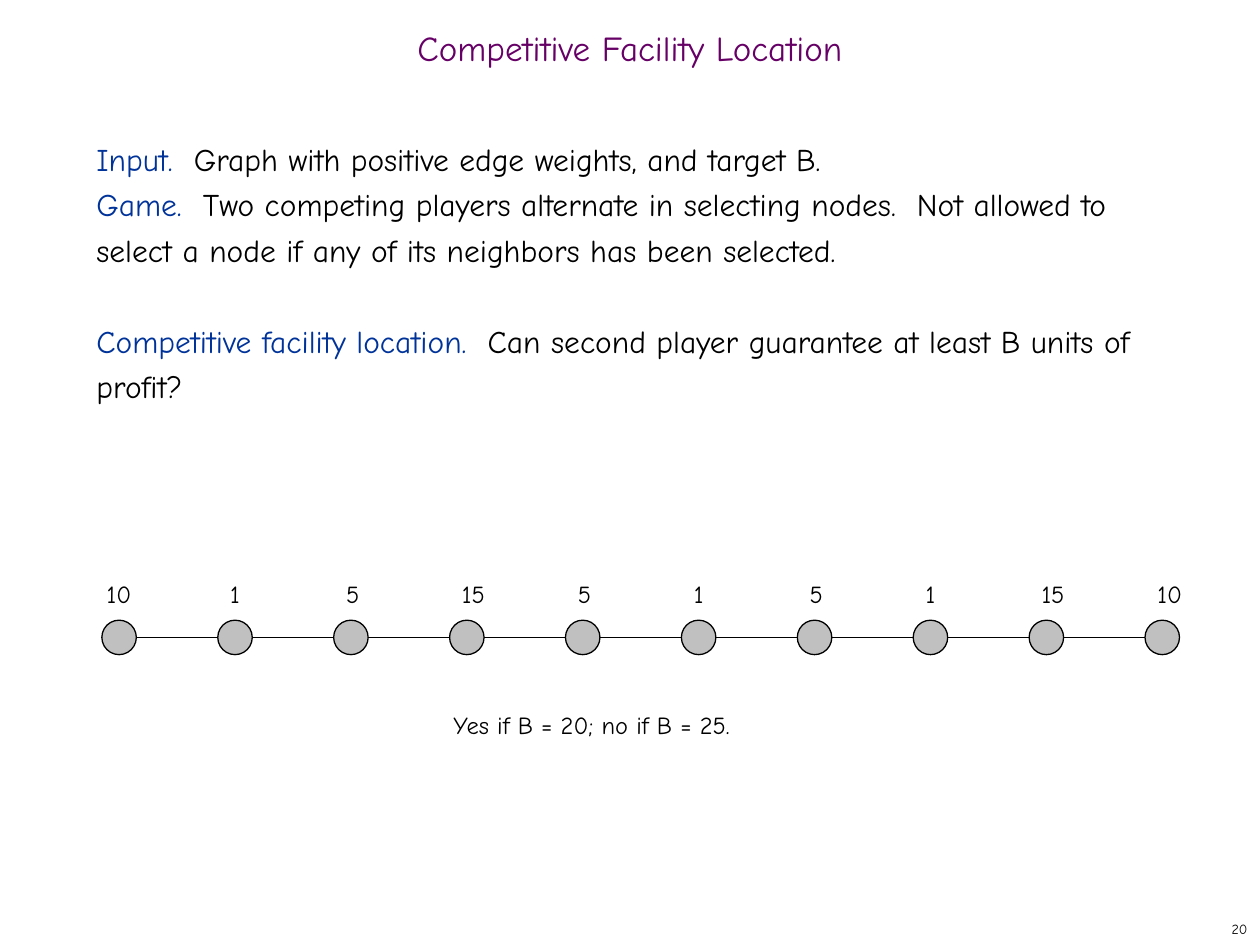
from pptx import Presentation
from pptx.dml.color import RGBColor
from pptx.enum.shapes import MSO_CONNECTOR, MSO_SHAPE
from pptx.enum.text import MSO_ANCHOR, MSO_AUTO_SIZE, PP_ALIGN
from pptx.oxml.ns import qn
from pptx.util import Pt

OVAL = MSO_SHAPE.OVAL
STRAIGHT = MSO_CONNECTOR.STRAIGHT
MIDDLE = MSO_ANCHOR.MIDDLE
FIXED = MSO_AUTO_SIZE.NONE
LEFT, CENTER, RIGHT = PP_ALIGN.LEFT, PP_ALIGN.CENTER, PP_ALIGN.RIGHT

BLACK = RGBColor(0x00, 0x00, 0x00)
BLUE = RGBColor(0x00, 0x33, 0x99)
PURPLE = RGBColor(0x66, 0x00, 0x66)
GRAY = RGBColor(0xC0, 0xC0, 0xC0)
FONT = "Comic Neue"

TERMS = [
    ("Input.  ", "Graph with positive edge weights, and target B.", 0),
    ("Game.  ", "Two competing players alternate in selecting nodes.  "
     "Not allowed to select a node if any of its neighbors has been selected.", 0),
    ("Competitive facility location.  ",
     "Can second player guarantee at least B units of profit?", 26),
]
WEIGHTS = [10, 1, 5, 15, 5, 1, 5, 1, 15, 10]


def apply(item, form):
    """Set each attribute of item from a dict."""
    for name, value in form.items():
        setattr(item, name, value)


def place(shape, box):
    """Move and size a shape to a box in points."""
    names = ("left", "top", "width", "height")
    apply(shape, {name: Pt(value) for name, value in zip(names, box)})


def add_run(para, text, size, color=BLACK):
    """Add a styled run to a paragraph."""
    run = para.add_run()
    run.text = text
    apply(run.font, {"name": FONT, "size": Pt(size)})
    run.font.color.rgb = color


def add_text(slide, box, text, size, align=LEFT, **form):
    """Add a text box that holds one line."""
    frame = slide.shapes.add_textbox(*map(Pt, box)).text_frame
    apply(frame, {"word_wrap": False, **form})
    frame.paragraphs[0].alignment = align
    add_run(frame.paragraphs[0], text, size)


def add_title(slide, box):
    """Fill the title placeholder."""
    title = slide.shapes.title
    place(title, box)
    frame = title.text_frame
    apply(frame, {"vertical_anchor": MIDDLE, "auto_size": FIXED, "word_wrap": True})
    para = frame.paragraphs[0]
    apply(para, {"alignment": CENTER, "line_spacing": 0.7})
    add_run(para, "Competitive Facility Location", 20, PURPLE)


def add_terms(slide, box):
    """Add the problem statement, one paragraph for each term."""
    frame = slide.shapes.add_textbox(*map(Pt, box)).text_frame
    frame.word_wrap = True
    for row, (term, text, gap) in enumerate(TERMS):
        para = frame.add_paragraph() if row else frame.paragraphs[0]
        apply(para, {"line_spacing": Pt(26), "space_before": Pt(gap)})
        add_run(para, term, 18, BLUE)
        add_run(para, text, 18)


def add_edge(slide, start, end, level):
    """Add a level line between two nodes."""
    edge = slide.shapes.add_connector(
        STRAIGHT, Pt(start), Pt(level), Pt(end), Pt(level))
    edge.line.color.rgb = BLACK
    edge.line.width = Pt(0.75)
    props = edge.element.spPr
    props.append(props.makeelement(qn("a:effectLst"), {}))


def add_node(slide, box):
    """Add a gray circle."""
    node = slide.shapes.add_shape(OVAL, *map(Pt, box))
    node.shadow.inherit = False
    node.fill.solid()
    node.fill.fore_color.rgb = GRAY
    node.line.color.rgb = BLACK
    node.line.width = Pt(0.75)


def add_path(slide, box):
    """Add the chain of weighted nodes across a box."""
    left, top, width, height = box
    size = 19.7
    step = (width - size) / (len(WEIGHTS) - 1)
    base = top + height - size
    for spot, weight in enumerate(WEIGHTS):
        x = left + spot * step
        if spot:
            add_edge(slide, x - step + size, x, base + size / 2)
        add_node(slide, (x, base, size, size))
        shift = 0 if spot else -4.3
        wide = 28.5 if weight > 9 else 21
        add_text(slide, (x + shift, top, wide, 24), str(weight), 14)


def main():
    """Build and save the slide."""
    deck = Presentation()
    apply(deck, {"slide_width": Pt(720), "slide_height": Pt(540)})
    slide = deck.slides.add_slide(deck.slide_layouts[5])
    add_title(slide, (0, 12, 720, 36))
    add_terms(slide, (48, 72, 618, 426))
    add_path(slide, (58.2, 327.2, 615.8, 46.9))
    add_text(slide, (252, 402, 173.5, 24), "Yes if B = 20; no if B = 25.", 14)
    add_text(slide, (570, 522, 150, 18), "20", 8, RIGHT,
             vertical_anchor=MIDDLE, word_wrap=True)
    deck.save("out.pptx")


if __name__ == "__main__":
    main()
